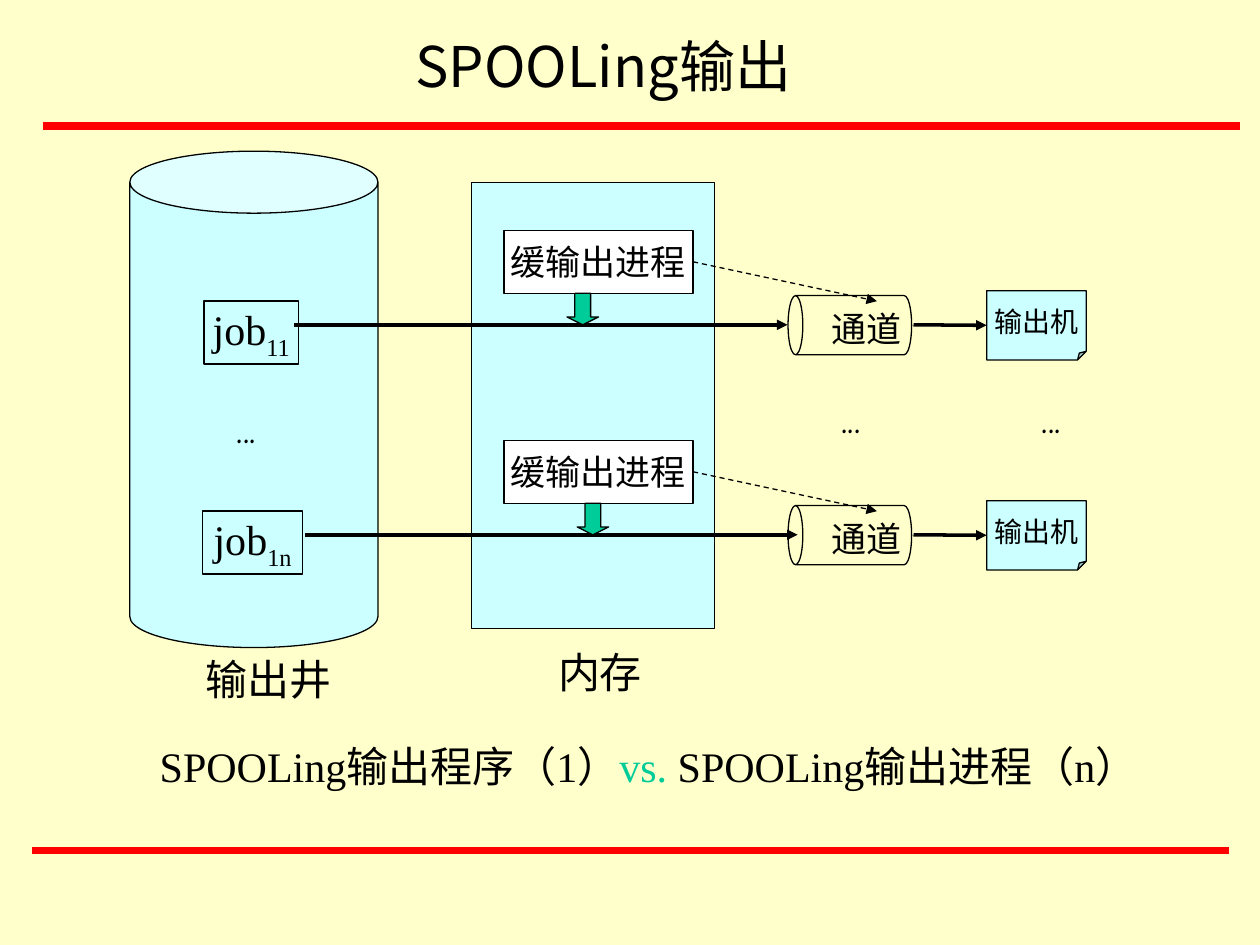
import dataclasses
import lxml.etree
import pptx
import pptx.dml.color
import pptx.enum.dml
import pptx.enum.shapes
import pptx.enum.text
import pptx.oxml.ns
import pptx.util

Pt = pptx.util.Pt
Color = pptx.dml.color.RGBColor.from_string
Shape = pptx.enum.shapes.MSO_SHAPE
Align = pptx.enum.text.PP_ALIGN
Anchor = pptx.enum.text.MSO_ANCHOR
AutoSize = pptx.enum.text.MSO_AUTO_SIZE
qn = pptx.oxml.ns.qn


@dataclasses.dataclass(frozen=True)
class Theme:
    paper: str = "FFFFCC"
    ink: str = "000000"
    rule: str = "FF0000"
    storage: str = "CCFFFF"
    process: str = "FFFFFF"
    accent: str = "00CC99"
    title_size: int = 32
    body_size: int = 24
    label_size: int = 20
    small_size: int = 16
    title_font: str = "Noto Sans CJK SC"
    body_font: str = "Times New Roman"
    dots_font: str = "Comic Neue"


theme = Theme()
deck = pptx.Presentation()
deck.slide_width, deck.slide_height = Pt(720), Pt(540)
page = deck.slides.add_slide(deck.slide_layouts[6])
page.background.fill.solid()
page.background.fill.fore_color.rgb = Color(theme.paper)


def draw_box(place, kind=None, fill=None, texts=(), size=theme.body_size,
             font=theme.body_font, centred=False):
    lengths = [Pt(value) for value in place]
    if kind is None:
        box = page.shapes.add_textbox(*lengths)
    else:
        box = page.shapes.add_shape(kind, *lengths)
        box.shadow.inherit = False
        box.line.color.rgb = Color(theme.ink)
        box.line.width = Pt(0.75)
        if fill:
            box.fill.solid()
            box.fill.fore_color.rgb = Color(fill)
        else:
            box.fill.background()
    if texts:
        frame = box.text_frame
        frame.word_wrap = not centred
        frame.vertical_anchor = Anchor.TOP if kind is None else Anchor.MIDDLE
        frame.auto_size = AutoSize.SHAPE_TO_FIT_TEXT if kind is None else AutoSize.NONE
        para = frame.paragraphs[0]
        para.alignment = Align.CENTER if centred else Align.LEFT
        for text in texts:
            span = para.add_run()
            span.text = text
            span.font.size = Pt(size)
            span.font.name = font
            span.font.color.rgb = Color(theme.ink)
    return box


def draw_line(start, end, width, color=theme.ink, arrow=True):
    line = page.shapes.add_connector(
        pptx.enum.shapes.MSO_CONNECTOR.STRAIGHT, *[Pt(value) for value in (*start, *end)])
    line.line.color.rgb = Color(color)
    line.line.width = Pt(width)
    if arrow:
        outline = line.line._get_or_add_ln()
        lxml.etree.SubElement(outline, qn("a:tailEnd"), type="triangle")
    lxml.etree.SubElement(line._element.spPr, qn("a:effectLst"))
    return line


draw_line((18, 486), (702, 486), 4.5, theme.rule, arrow=False)
draw_line((24.5, 72), (708.5, 72), 4.5, theme.rule, arrow=False)
draw_box((224.6, 14.4, 240.5, 46), texts=["SPOOLing输出"], size=theme.title_size,
         font=theme.title_font, centred=True)

draw_box((74.2, 86.4, 141.8, 283.7), Shape.CAN, theme.storage)
draw_box((269.3, 104.4, 139, 254.9), Shape.RECTANGLE, theme.storage)
draw_box((110.2, 370.1, 95.8, 36), texts=["输出井"])
draw_box((311.8, 365.8, 72, 36), texts=["内存"])

row_step = 120
rows = [
    ("11", 116.6, 54, 168, 450, 324),
    ("1n", 115.9, 56.9, 174.2, 455.8, 329.8),
]
for index, (number, job_left, job_width, flow_start, flow_end, arrow_left) in enumerate(rows):
    shift = index * row_step
    flow_y = 185.6 + shift
    job = draw_box((job_left, 172.1 + shift, job_width, 36), Shape.RECTANGLE,
                   texts=["job", number], centred=True)
    subscript = job.text_frame.paragraphs[0].runs[1]
    subscript._r.get_or_add_rPr().set("baseline", "-25000")

    process = draw_box((288, 131.6 + shift, 108, 36), Shape.RECTANGLE, theme.process,
                       ["缓输出进程"], theme.label_size, centred=True)
    channel = draw_box((468.7, 150.5 + shift, 33.8, 70.6), Shape.CAN)
    channel.rotation = 270
    draw_box((468, 172.1 + shift, 66.2, 31.7), texts=["通道"], size=theme.label_size)
    printer = draw_box((563.8, 166.1 + shift, 56.9, 39.6), Shape.FOLDED_CORNER,
                       theme.storage, ["输出机"], theme.small_size, centred=True)

    draw_line((flow_start, flow_y), (flow_end, flow_y), 2)
    down_arrow = draw_box((arrow_left, 167.6 + shift, 18, 18), Shape.DOWN_ARROW, theme.accent)
    for shape, guide, amount in [(printer, "adj", 12500), (down_arrow, "adj2", 25000)]:
        guides = shape._element.spPr.find(qn("a:prstGeom")).get_or_add_avLst()
        for old_guide in guides.findall(qn("a:gd")):
            if old_guide.get("name") == guide:
                guides.remove(old_guide)
        lxml.etree.SubElement(guides, qn("a:gd"), name=guide, fmla=f"val {amount}")

    delivery = draw_line((522, flow_y), (563.8, flow_y), 2)
    delivery.end_connect(printer, 1)
    control = draw_line((396, 149.6 + shift), (501.1, 172.1 + shift), 0.75)
    control.line.dash_style = pptx.enum.dml.MSO_LINE.DASH
    control.begin_connect(process, 3)

for left, top, width in [(128.2, 226.1, 41.8), (473.8, 220.3, 36), (588.2, 220.3, 36)]:
    draw_box((left, top, width, 36), texts=["..."], font=theme.dots_font)

summary = draw_box((84.2, 419.8, 593.3, 64.8),
                   texts=["SPOOLing输出程序（1）", "vs.", " SPOOLing输出进程（n）"])
summary.text_frame.paragraphs[0].runs[1].font.color.rgb = Color(theme.accent)

deck.save("out.pptx")
